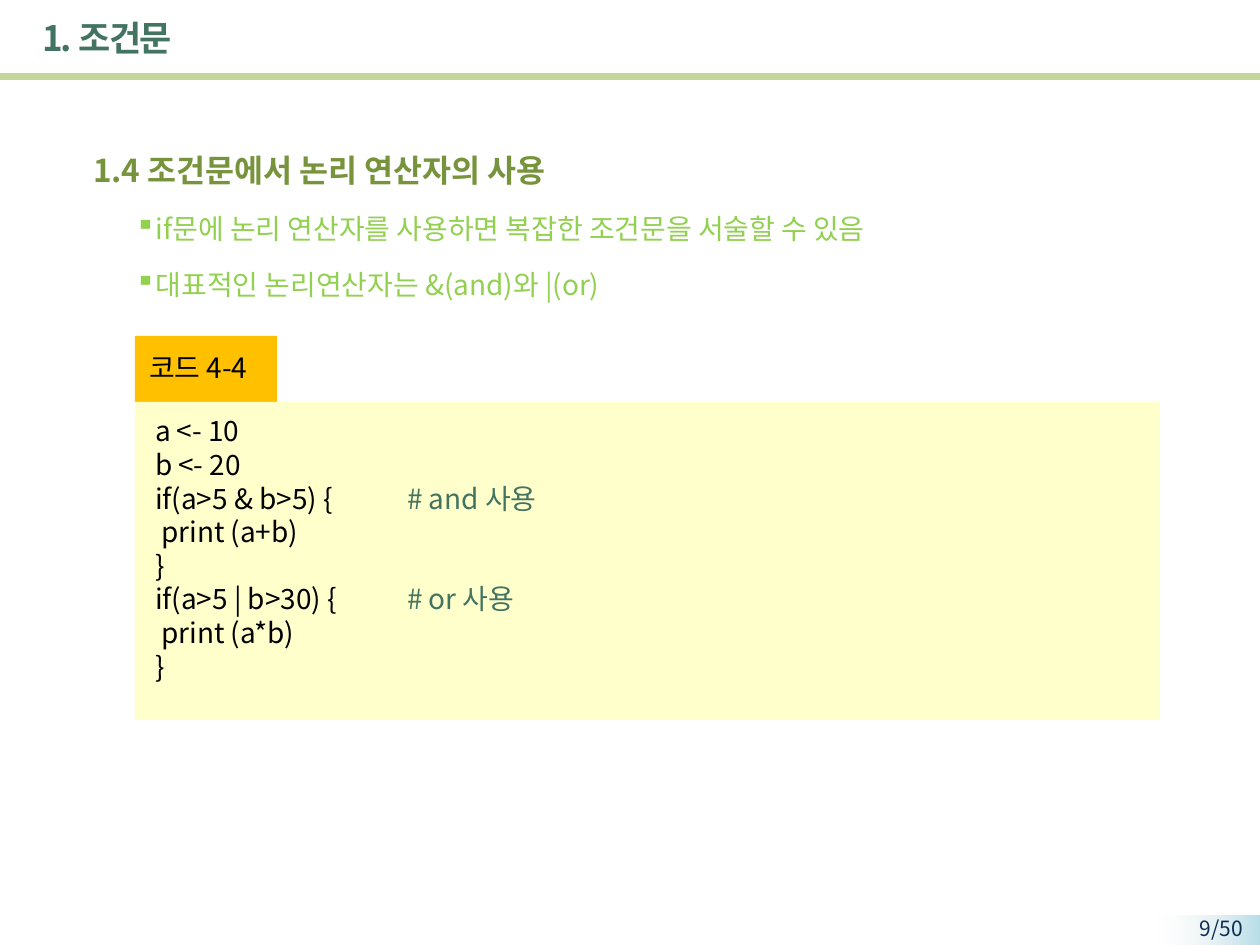
import lxml.etree
import pptx
import pptx.dml.color
import pptx.enum.shapes
import pptx.enum.text
import pptx.oxml.ns
import pptx.util

FONT = "Noto Sans CJK KR"
PX = 914400 / 126
BLACK, GREEN = "000000", "437361"
INSET_X, INSET_Y = 13, 6

TITLE = "1. 조건문"
HEADING = "1.4 조건문에서 논리 연산자의 사용"
BULLETS = [
    "if문에 논리 연산자를 사용하면 복잡한 조건문을 서술할 수 있음",
    "대표적인 논리연산자는 &(and)와 |(or)",
]
CODE_LABEL = "코드 4-4"
CODE = [  # code, comment
    ("a <- 10", ""),
    ("b <- 20", ""),
    ("if(a>5 & b>5) { \t\t", "# and 사용"),
    (" print (a+b)", ""),
    ("}", ""),
    ("if(a>5 | b>30) { \t\t", "# or 사용"),
    (" print (a*b)", ""),
    ("}", ""),
]
PAGE = "9/50"


def px(length):
    return pptx.util.Emu(round(length * PX))


def rgb(value):
    return pptx.dml.color.RGBColor.from_string(value)


def add_rectangle(slide, left, top, width, height, color):
    shape = slide.shapes.add_shape(
        pptx.enum.shapes.MSO_SHAPE.RECTANGLE, px(left), px(top), px(width), px(height))
    shape.shadow.inherit = False
    shape.line.fill.background()
    shape.fill.solid()
    shape.fill.fore_color.rgb = rgb(color)
    return shape


def add_text_box(slide, left, top, width, height, wrap=True):
    text_frame = slide.shapes.add_textbox(px(left), px(top), px(width), px(height)).text_frame
    text_frame.word_wrap = wrap
    set_margins(text_frame, INSET_X, INSET_Y)
    return text_frame


def set_margins(text_frame, horizontal, vertical):
    text_frame.margin_left = text_frame.margin_right = px(horizontal)
    text_frame.margin_top = text_frame.margin_bottom = px(vertical)


def format_runs(paragraph, size, color, bold=False):
    for run in paragraph.runs:
        run.font.size = pptx.util.Pt(size)
        run.font.bold = bold
        run.font.color.rgb = rgb(color)
        run.font.name = FONT
        properties = run._r.get_or_add_rPr()
        lxml.etree.SubElement(properties, pptx.oxml.ns.qn("a:ea"), typeface=FONT)


def add_bullet(paragraph, indent):
    properties = paragraph._p.get_or_add_pPr()
    properties.set("marL", str(px(indent)))
    properties.set("indent", "0")
    lxml.etree.SubElement(properties, pptx.oxml.ns.qn("a:buChar"), char="▪")


def add_page_number(slide):
    badge = add_rectangle(slide, 1159, 916, 101, 30, "B7DEE8")
    badge.fill.gradient()
    badge.fill.gradient_angle = 180
    near, far = badge.fill.gradient_stops
    near.position, far.position = 0, 1
    near.color.rgb, far.color.rgb = rgb("B7DEE8"), rgb("F2F2F2")
    far_color = badge._element.spPr.findall(".//" + pptx.oxml.ns.qn("a:srgbClr"))[-1]
    lxml.etree.SubElement(far_color, pptx.oxml.ns.qn("a:alpha"), val="0")
    paragraph = add_text_box(slide, 1140, 910, 116, 29).paragraphs[0]
    paragraph.text = PAGE
    paragraph.alignment = pptx.enum.text.PP_ALIGN.RIGHT
    format_runs(paragraph, 12, "0F2E53")


def set_title(slide):
    title = slide.shapes.title
    title.left, title.top, title.width, title.height = px(29), px(5), px(1072), px(66)
    text_frame = title.text_frame
    text_frame.text = TITLE
    text_frame.auto_size = pptx.enum.text.MSO_AUTO_SIZE.NONE
    text_frame.vertical_anchor = pptx.enum.text.MSO_ANCHOR.MIDDLE
    set_margins(text_frame, INSET_X, INSET_Y)
    paragraph = text_frame.paragraphs[0]
    paragraph.alignment = pptx.enum.text.PP_ALIGN.LEFT
    format_runs(paragraph, 20, GREEN, bold=True)
    paragraph.runs[0]._r.get_or_add_rPr().set("spc", "-100")


def add_body(slide):
    text_frame = add_text_box(slide, 93, 151, 1130, 160)
    set_margins(text_frame, 0, 0)
    text_frame.text = "\n".join([HEADING, *BULLETS])
    heading, *bullets = text_frame.paragraphs
    format_runs(heading, 18, "77933C", bold=True)
    for paragraph in bullets:
        paragraph.line_spacing = 1.5
        paragraph.space_before = pptx.util.Pt(3.2)
        add_bullet(paragraph, 42)
        format_runs(paragraph, 16, "92D050")


def add_code(slide):
    add_rectangle(slide, 135, 336, 142, 66, "FFC000")
    add_rectangle(slide, 135, 402, 1025, 318, "FFFFCC")
    label = add_text_box(slide, 136, 345, 135, 47, wrap=False).paragraphs[0]
    label.text = CODE_LABEL
    format_runs(label, 16, BLACK)
    text_frame = add_text_box(slide, 142, 408, 978, 285)
    text_frame.text = "\n".join(code for code, comment in CODE)
    for paragraph, (code, comment) in zip(text_frame.paragraphs, CODE):
        if comment:
            paragraph.add_run().text = comment
        format_runs(paragraph, 16, BLACK)
        if comment:
            paragraph.runs[-1].font.color.rgb = rgb(GREEN)


def main():
    presentation = pptx.Presentation()
    presentation.slide_width, presentation.slide_height = px(1260), px(945)
    slide = presentation.slides.add_slide(presentation.slide_layouts.get_by_name("Title Only"))
    add_page_number(slide)
    add_rectangle(slide, 0, 73, 1260, 7, "C3D69B")
    set_title(slide)
    add_body(slide)
    add_code(slide)
    presentation.save("out.pptx")


if __name__ == "__main__":
    main()
